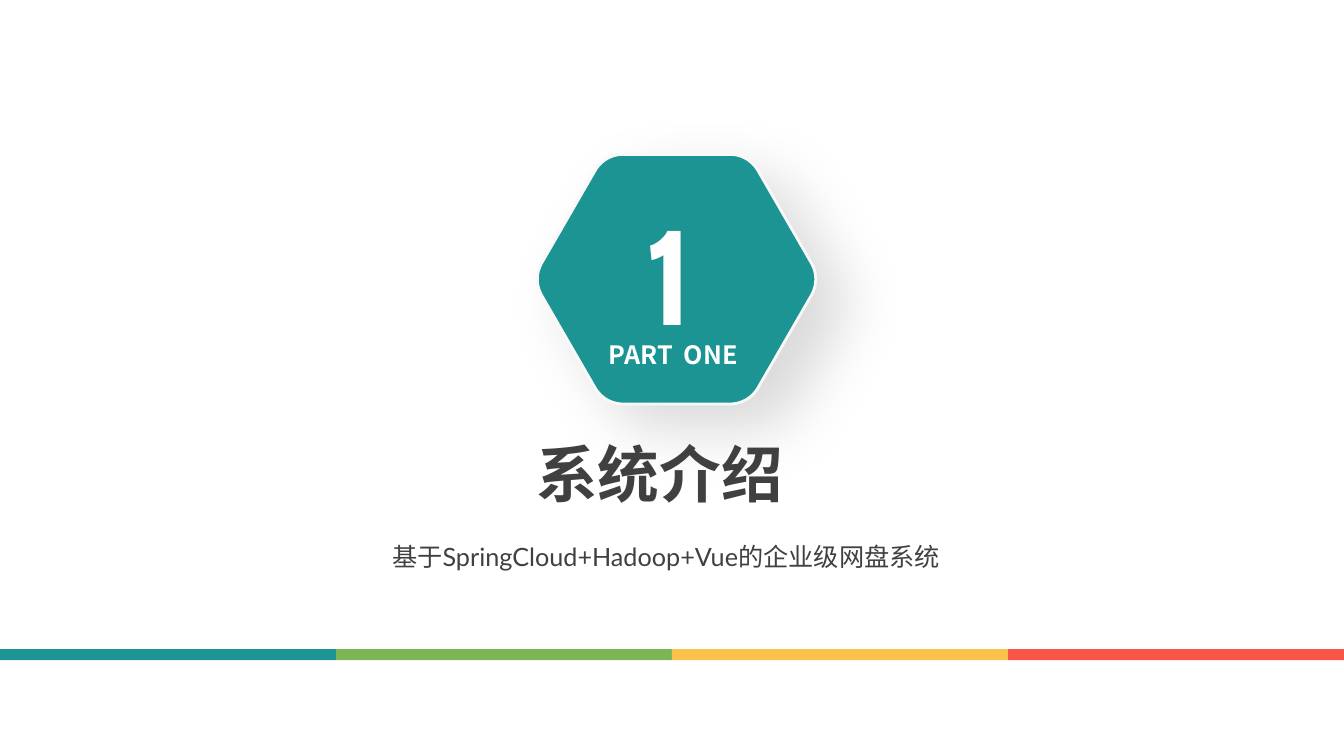
"""Build a section title slide with a hexagon badge and a four-colour band."""
from dataclasses import dataclass
from math import cos, radians, sin

from lxml import etree
from pptx import Presentation
from pptx.dml.color import RGBColor
from pptx.enum.shapes import MSO_SHAPE
from pptx.enum.text import MSO_AUTO_SIZE
from pptx.oxml import parse_xml
from pptx.oxml.ns import nsdecls, qn
from pptx.shapes.autoshape import Shape
from pptx.slide import Slide
from pptx.util import Inches, Pt

RECTANGLE = MSO_SHAPE.RECTANGLE
GROW = MSO_AUTO_SIZE.SHAPE_TO_FIT_TEXT
NO_RESIZE = MSO_AUTO_SIZE.NONE

COLORS = {
    "teal": "1C9494",
    "green": "7CB554",
    "yellow": "FAC14D",
    "red": "F95647",
    "ink": "404040",
    "white": "FFFFFF",
    "rim": "F8F8F8",
    "shadow": "000000",
}
PAGE_WIDTH, PAGE_HEIGHT = 13.33, 7.5
BAND_COLORS = ("teal", "green", "yellow", "red")
BAND_TOP, BAND_HEIGHT = 6.44, 0.11
BADGE_X, BADGE_Y, BADGE_RADIUS, CORNER_RADIUS = 6.71, 2.77, 1.43, 0.32
WORD_GAP = 380


@dataclass(frozen=True)
class Label:
    text: str
    left: float
    top: float
    width: float
    height: float
    size: int
    font: str
    color: str
    bold: bool = True
    wrap: bool = False
    inset: tuple[float, float] = (0.1, 0.05)
    line_spacing: float = 1.0
    word_gap: int = 0


LABELS = (
    Label("1", 6.29, 1.85, 1.55, 2.91, 96, "Cabin", "white"),
    Label("系统介绍", 5.22, 4.28, 2.85, 0.84, 44, "Noto Sans CJK SC", "ink"),
    Label("基于SpringCloud+Hadoop+Vue的企业级网盘系统", 3.89, 5.31, 5.8, 0.57, 18,
          "Lato", "ink", bold=False, wrap=True, inset=(0, 0), line_spacing=1.2),
    Label("PART ONE", 5.94, 3.32, 1.59, 0.4, 18, "Noto Sans CJK SC", "white",
          word_gap=WORD_GAP),
)


def rgb(name: str) -> RGBColor:
    return RGBColor.from_string(COLORS[name])


def paint(shape: Shape, color: str) -> None:
    shape.shadow.inherit = False
    shape.fill.solid()
    shape.fill.fore_color.rgb = rgb(color)
    shape.line.fill.background()


def add_shadow(shape: Shape) -> None:
    effects = shape._element.spPr.find(qn("a:effectLst"))
    effects.append(parse_xml(
        f'<a:outerShdw {nsdecls("a")} blurRad="{Pt(45)}" dist="{Pt(27)}" '
        f'dir="{38 * 60000}" algn="tl" rotWithShape="0">'
        f'<a:srgbClr val="{COLORS["shadow"]}"><a:alpha val="15000"/></a:srgbClr>'
        '</a:outerShdw>'))


def add_badge(page: Slide) -> None:
    reach = BADGE_RADIUS - CORNER_RADIUS / cos(radians(30))
    points = []
    for corner in range(0, 360, 60):
        for turn in range(corner - 30, corner + 31, 5):
            x = reach * cos(radians(corner)) + CORNER_RADIUS * cos(radians(turn))
            y = reach * sin(radians(corner)) + CORNER_RADIUS * sin(radians(turn))
            points.append((Inches(BADGE_X + x), Inches(BADGE_Y + y)))
    builder = page.shapes.build_freeform(*points[0])
    builder.add_line_segments(points[1:], close=True)
    badge = builder.convert_to_shape()
    paint(badge, "teal")
    badge.line.color.rgb = rgb("rim")
    badge.line.width = Pt(2)
    add_shadow(badge)


def add_label(page: Slide, label: Label) -> None:
    area = (label.left, label.top, label.width, label.height)
    box = page.shapes.add_textbox(*map(Inches, area))
    frame = box.text_frame
    side, edge = map(Inches, label.inset)
    frame_format = {
        "word_wrap": label.wrap,
        "auto_size": NO_RESIZE if label.wrap else GROW,
        "margin_left": side,
        "margin_right": side,
        "margin_top": edge,
        "margin_bottom": edge,
    }
    for name, value in frame_format.items():
        setattr(frame, name, value)
    para = frame.paragraphs[0]
    para.line_spacing = label.line_spacing
    font_format = {"name": label.font, "size": Pt(label.size), "bold": label.bold}
    parts = label.text.partition(" ")
    for text in filter(None, parts):
        span = para.add_run()
        span.text = text
        for name, value in font_format.items():
            setattr(span.font, name, value)
        span.font.color.rgb = rgb(label.color)
        properties = span._r.get_or_add_rPr()
        east_asian = etree.SubElement(properties, qn("a:ea"))
        east_asian.set("typeface", "Noto Sans CJK SC")
        if text == " ":
            properties.set("spc", str(label.word_gap))


def add_band(page: Slide) -> None:
    width = PAGE_WIDTH / len(BAND_COLORS)
    for index, color in enumerate(BAND_COLORS):
        area = (index * width, BAND_TOP, width, BAND_HEIGHT)
        stripe = page.shapes.add_shape(RECTANGLE, *map(Inches, area))
        paint(stripe, color)


def main() -> None:
    deck = Presentation()
    deck.slide_width = Inches(PAGE_WIDTH)
    deck.slide_height = Inches(PAGE_HEIGHT)
    page = deck.slides.add_slide(deck.slide_layouts[6])
    add_badge(page)
    for label in LABELS:
        add_label(page, label)
    add_band(page)
    deck.save("out.pptx")


if __name__ == "__main__":
    main()
